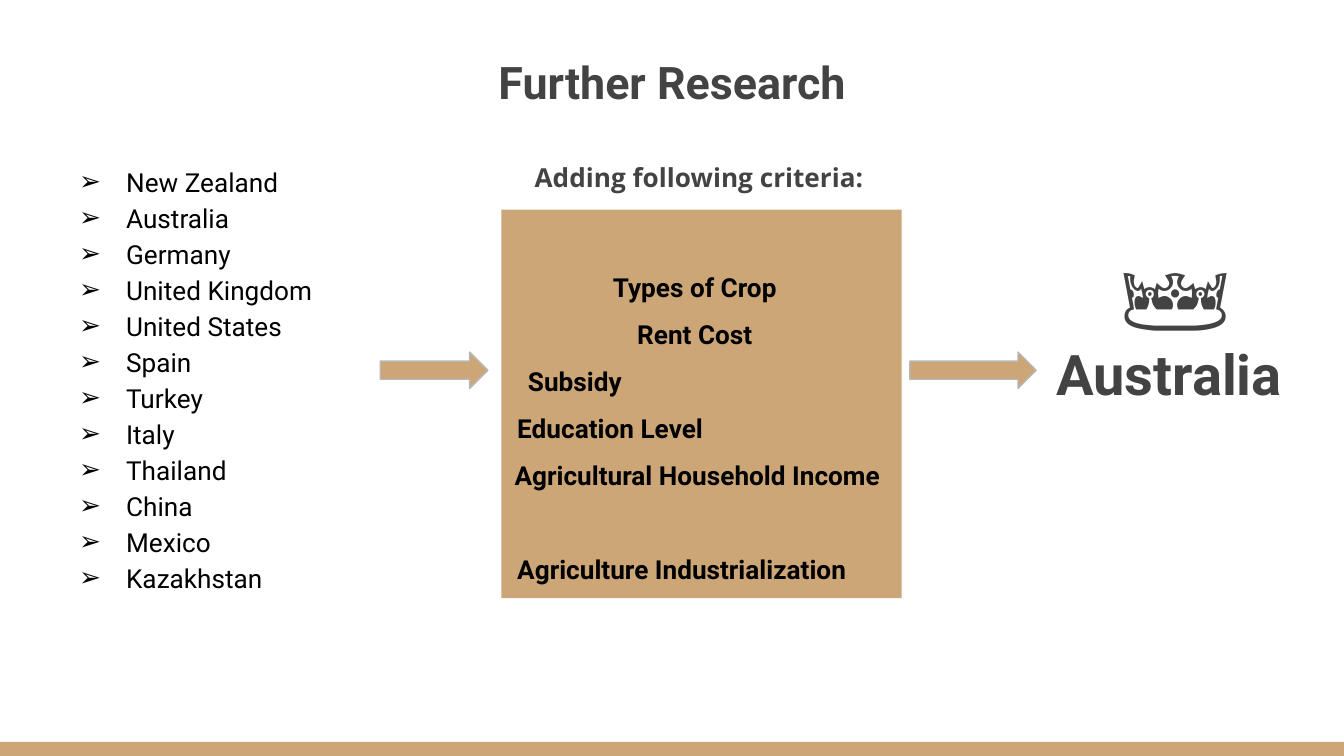
"""Build the Further Research slide: countries, added criteria and the winner."""
from lxml.etree import SubElement
from pptx import Presentation
from pptx.dml.color import RGBColor
from pptx.enum.shapes import MSO_SHAPE
from pptx.enum.text import MSO_ANCHOR, PP_ALIGN
from pptx.oxml.ns import qn
from pptx.util import Inches, Pt

COLORS = {"tan": "CCA677", "outline": "B7B7B7", "dark": "434343", "black": "000000"}
COUNTRIES = [
    "New Zealand", "Australia", "Germany", "United Kingdom", "United States", "Spain",
    "Turkey", "Italy", "Thailand", "China", "Mexico", "Kazakhstan",
]
LEFT, CENTER = PP_ALIGN.LEFT, PP_ALIGN.CENTER
CRITERIA = [
    ("Types of Crop", CENTER, 0, 0.1, 0),
    ("Rent Cost", CENTER, 0, 0.1, 0),
    ("Subsidy", LEFT, 0.1, 0, 0),
    ("Education Level", LEFT, 0.02, 0, 0),
    ("Agricultural Household Income", LEFT, 0, 0, 0),
    ("Agriculture Industrialization", LEFT, 0.02, 0, 25),
]
LABELS = [
    ("Australia", (7.76, 2.43, 2, 0.63), 30, "Roboto", True, LEFT, MSO_ANCHOR.TOP),
    ("👑", (7.88, 1.56, 1.74, 0.87), 60, "Roboto", False, CENTER, MSO_ANCHOR.TOP),
    ("Adding following criteria:", (3.88, 1.1, 2.68, 0.27), 14, "Open Sans", True, LEFT, MSO_ANCHOR.TOP),
    ("Further Research", (0.34, 0.22, 9.32, 0.69), 24, "Roboto", True, CENTER, MSO_ANCHOR.BOTTOM),
]
ARROWS = [(2.83, 2.62, 0.8, 0.27), (6.77, 2.62, 0.94, 0.27)]
COUNTRY_BOX = (0.34, 1.1, 2.44, 3.42)
CRITERIA_BOX = (3.73, 1.56, 2.98, 2.89)
FOOTER_BAR = (0, 5.52, 10, 0.11)


def place(box):
    return [Inches(value) for value in box]


def color(name):
    return RGBColor.from_string(COLORS[name])


def add_tan_shape(slide, kind, box, outline=None):
    shape = slide.shapes.add_shape(kind, *place(box))
    shape.shadow.inherit = False
    shape.fill.solid()
    shape.fill.fore_color.rgb = color("tan")
    if outline:
        shape.line.color.rgb = color(outline)
        shape.line.width = Pt(0.75)
    else:
        shape.line.fill.background()
    return shape


def prepare_frame(shape, anchor):
    frame = shape.text_frame
    frame.word_wrap = True
    frame.vertical_anchor = anchor
    frame.margin_left = frame.margin_right = Inches(0.1)
    frame.margin_top = frame.margin_bottom = Inches(0.1)
    return frame


def add_paragraph(frame, index, text):
    paragraph = frame.add_paragraph() if index else frame.paragraphs[0]
    paragraph.text = text
    return paragraph


def set_font(paragraph, size, name, color_name, bold=False):
    font = paragraph.font
    font.size, font.name, font.bold = Pt(size), name, bold
    font.color.rgb = color(color_name)


def add_countries(slide):
    textbox = slide.shapes.add_textbox(*place(COUNTRY_BOX))
    frame = prepare_frame(textbox, MSO_ANCHOR.TOP)
    for index, country in enumerate(COUNTRIES):
        paragraph = add_paragraph(frame, index, country)
        paragraph.line_spacing = 1.15
        properties = paragraph._p.get_or_add_pPr()
        properties.set("marL", str(Inches(0.5)))
        properties.set("indent", str(Inches(-0.35)))
        bullet_color = SubElement(properties, qn("a:buClr"))
        SubElement(bullet_color, qn("a:srgbClr"), val=COLORS["black"])
        SubElement(properties, qn("a:buFont"), typeface="Roboto")
        SubElement(properties, qn("a:buChar"), char="➢")
        set_font(paragraph, 14, "Roboto", "black")


def add_criteria(slide):
    shape = add_tan_shape(slide, MSO_SHAPE.RECTANGLE, CRITERIA_BOX)
    frame = prepare_frame(shape, MSO_ANCHOR.BOTTOM)
    for index, (text, alignment, left, right, space) in enumerate(CRITERIA):
        paragraph = add_paragraph(frame, index, text)
        paragraph.alignment = alignment
        paragraph.line_spacing = 1.5
        if space:
            paragraph.space_before = Pt(space)
        properties = paragraph._p.get_or_add_pPr()
        properties.set("marL", str(Inches(left)))
        properties.set("marR", str(Inches(right)))
        set_font(paragraph, 14, "Roboto", "black", True)


def main():
    presentation = Presentation()
    presentation.slide_width = Inches(10)
    presentation.slide_height = Inches(10 * 9 / 16)
    slide = presentation.slides.add_slide(presentation.slide_layouts[6])
    add_tan_shape(slide, MSO_SHAPE.RECTANGLE, FOOTER_BAR)
    add_countries(slide)
    add_criteria(slide)
    for box in ARROWS:
        add_tan_shape(slide, MSO_SHAPE.RIGHT_ARROW, box, "outline")
    for text, box, size, name, bold, alignment, anchor in LABELS:
        frame = prepare_frame(slide.shapes.add_textbox(*place(box)), anchor)
        paragraph = add_paragraph(frame, 0, text)
        paragraph.alignment = alignment
        set_font(paragraph, size, name, "dark", bold)
    presentation.save("out.pptx")


if __name__ == "__main__":
    main()
